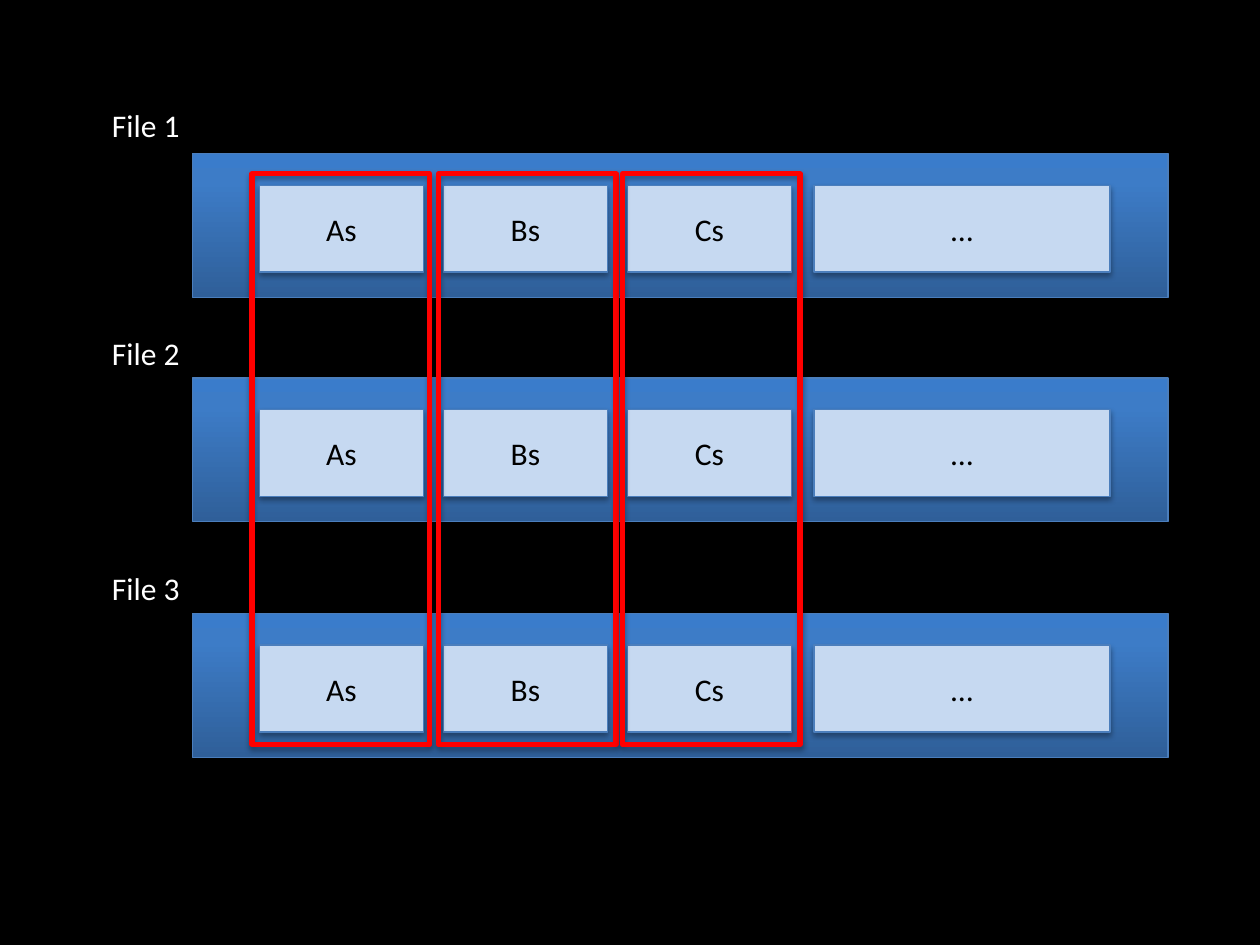
"""Build a slide of three files whose matching blocks are framed by column."""
from dataclasses import dataclass

from lxml import etree
from pptx import Presentation
from pptx import util as u
from pptx.dml.color import RGBColor
from pptx.enum import shapes, text
from pptx.oxml import ns


@dataclass(frozen=True)
class Theme:
    background: str = "000000"
    label: str = "FFFFFF"
    block: str = "C6D9F1"
    block_text: str = "000000"
    border: str = "4B7EBC"
    frame: str = "FF0000"
    shadow: str = "000000"
    band: tuple = ((0, "2F5F99"), (80, "3D7CC7"), (100, "3A7CCB"))
    font: str = "Calibri"
    size: float = 18
    border_width: float = 0.75
    frame_width: float = 3


@dataclass(frozen=True)
class FileRow:
    name: str
    top: float
    label_top: float


@dataclass(frozen=True)
class Block:
    name: str
    left: float
    width: float = 1.3


THEME = Theme()
ROWS = (FileRow("File 1", 1.22, 0.79), FileRow("File 2", 3, 2.6), FileRow("File 3", 4.87, 4.47))
BLOCKS = (Block("As", 2.06), Block("Bs", 3.52), Block("Cs", 4.98), Block("…", 6.46, 2.35))
FRAME_LEFTS = (2, 3.48, 4.94)


def rgb(color: str) -> RGBColor:
    return RGBColor.from_string(color)


def add_xml(parent, tag: str, **attrs):
    return etree.SubElement(parent, ns.qn(tag), {k: str(v) for k, v in attrs.items()})


def add_color(parent, color: str):
    return add_xml(parent, "a:srgbClr", val=color)


def add_shadow(sp) -> None:
    sp.shadow.inherit = False
    effects = sp._element.spPr.find(ns.qn("a:effectLst"))
    outer = add_xml(effects, "a:outerShdw", blurRad=40000, dist=23000, dir=5400000, rotWithShape=0)
    add_xml(add_color(outer, THEME.shadow), "a:alpha", val=35000)


def fill_band(sp) -> None:
    sp.fill.gradient()
    sp.fill.gradient_angle = 90
    stops = sp._element.spPr.find(".//" + ns.qn("a:gsLst"))
    for stop in list(stops):
        stops.remove(stop)
    for percent, color in THEME.band:
        add_color(add_xml(stops, "a:gs", pos=percent * 1000), color)


def add_rect(parent, left: float, top: float, width: float, height: float, *,
             line: str = THEME.border, line_width: float = THEME.border_width):
    sp = parent.shapes.add_shape(shapes.MSO_SHAPE.RECTANGLE, *map(u.Inches, (left, top, width, height)))
    sp.fill.background()
    sp.line.color.rgb = rgb(line)
    sp.line.width = u.Pt(line_width)
    add_shadow(sp)
    return sp


def write(tf, content: str, *, color: str, align=text.PP_ALIGN.LEFT, anchor=text.MSO_ANCHOR.TOP) -> None:
    tf.word_wrap = True
    tf.vertical_anchor = anchor
    p = tf.paragraphs[0]
    p.alignment = align
    r = p.add_run()
    r.text = content
    r.font.name = THEME.font
    r.font.size = u.Pt(THEME.size)
    r.font.color.rgb = rgb(color)


def add_row(s, row: FileRow) -> None:
    group = s.shapes.add_group_shape()
    fill_band(add_rect(group, 1.53, row.top, 7.74, 1.14))
    for block in BLOCKS:
        sp = add_rect(group, block.left, row.top + 0.25, block.width, 0.69)
        sp.fill.solid()
        sp.fill.fore_color.rgb = rgb(THEME.block)
        write(sp.text_frame, block.name, color=THEME.block_text,
              align=text.PP_ALIGN.CENTER, anchor=text.MSO_ANCHOR.MIDDLE)
    label = s.shapes.add_textbox(*map(u.Inches, (0.79, row.label_top, 1.39, 0.4)))
    write(label.text_frame, row.name, color=THEME.label)
    label.text_frame.auto_size = text.MSO_AUTO_SIZE.SHAPE_TO_FIT_TEXT


def main() -> None:
    prs = Presentation()
    prs.slide_width, prs.slide_height = u.Inches(10), u.Inches(7.5)
    s = prs.slides.add_slide(prs.slide_layouts[6])
    s.background.fill.solid()
    s.background.fill.fore_color.rgb = rgb(THEME.background)
    for row in ROWS:
        add_row(s, row)
    frames = s.shapes.add_group_shape()
    for left in FRAME_LEFTS:
        add_rect(frames, left, 1.38, 1.41, 4.53, line=THEME.frame, line_width=THEME.frame_width)
    prs.save("out.pptx")


main()
